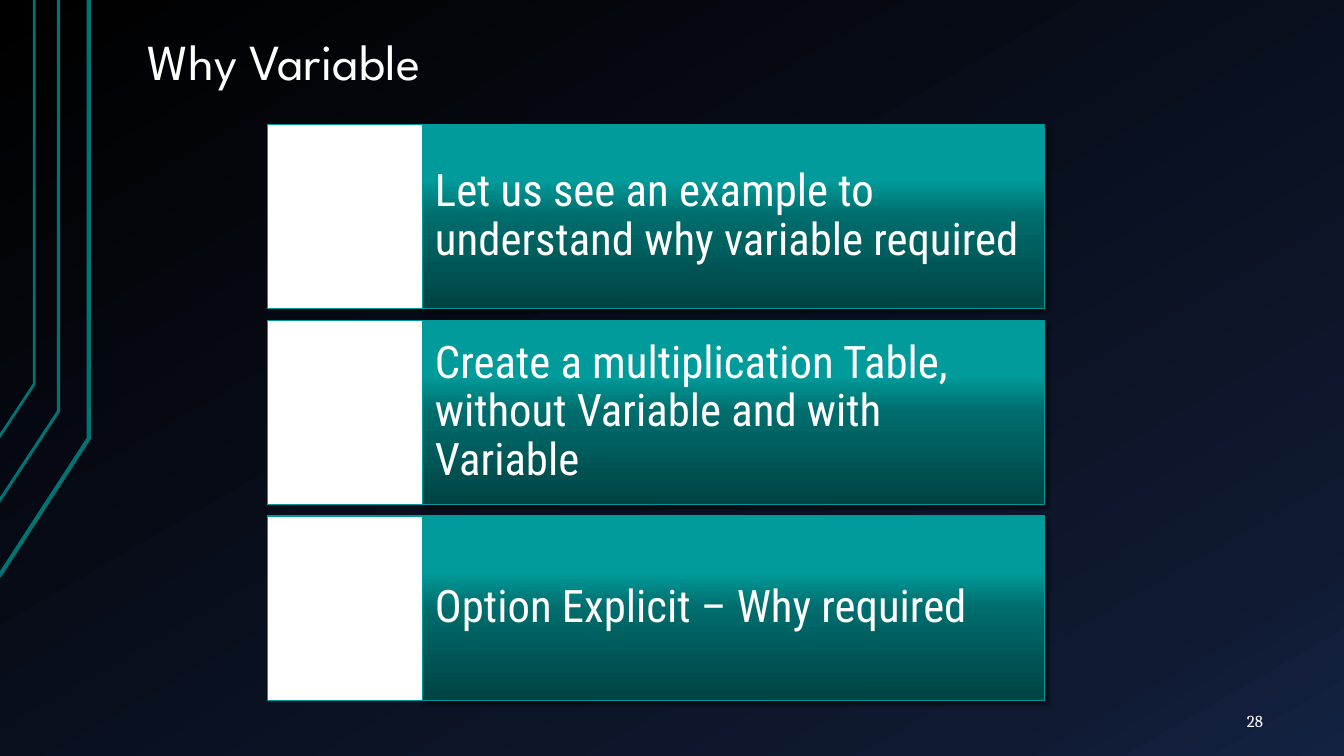
from pptx import Presentation
from pptx import oxml
from pptx.dml.color import RGBColor
from pptx.enum import shapes, text
from pptx.oxml import ns
from pptx.util import Pt

COLORS = {
    "white": "FFFFFF",
    "teal": "009999",
    "trim": "007373",
    "shadow": "000000",
}
NIGHT_STOPS = [(0, "000000"), (85, "0F1931"), (100, "142242")]
BAR_STOPS = [(0, "004343"), (50, "006C6C"), (70, "019B9B"), (100, "009999")]


def set_gradient(fill, owner, stops, angle):
    fill.gradient()
    grad = owner.xpath(".//a:gradFill")[0]
    stop_xml = "".join(
        f'<a:gs pos="{pos * 1000}"><a:srgbClr val="{color}"/></a:gs>' for pos, color in stops
    )
    grad.getparent().replace(grad, oxml.parse_xml(
        f'<a:gradFill {ns.nsdecls("a")} rotWithShape="1"><a:gsLst>{stop_xml}</a:gsLst>'
        f'<a:lin ang="{angle * 60000}" scaled="0"/></a:gradFill>'
    ))


def write(shape, words, font, size, anchor, align, margins, spacing=None):
    frame = shape.text_frame
    frame.word_wrap = True
    frame.vertical_anchor = anchor
    frame.margin_left = frame.margin_right = Pt(margins[0])
    frame.margin_top = frame.margin_bottom = Pt(margins[1])
    paragraph = frame.paragraphs[0]
    paragraph.alignment = align
    paragraph.line_spacing = spacing
    run = paragraph.add_run()
    run.text = words
    run.font.name = font
    run.font.size = Pt(size)
    run.font.color.rgb = RGBColor.from_string(COLORS["white"])


prs = Presentation()
prs.slide_width, prs.slide_height = Pt(960), Pt(540)
slide = prs.slides.add_slide(prs.slide_layouts[6])

# Background
set_gradient(slide.background.fill, slide.element, NIGHT_STOPS, 60)

# Angled trim lines on the left: points and line width
trim_lines = [
    ([(-0.7, 411.8), (63.4, 313.2), (63.4, 0)], 3),
    ([(-1.4, 359.3), (41.8, 293.8), (41.8, 0)], 2.25),
    ([(-0.7, 312.5), (24.5, 274.3), (24.5, 0)], 2),
]
for points, width in trim_lines:
    start, *corners = [(Pt(x), Pt(y)) for x, y in points]
    builder = slide.shapes.build_freeform(*start, scale=1.0)
    builder.add_line_segments(corners, close=False)
    trim = builder.convert_to_shape()
    trim.shadow.inherit = False
    trim.fill.background()
    trim.line.color.rgb = RGBColor.from_string(COLORS["trim"])
    trim.line.width = Pt(width)

# Title and page number
title = slide.shapes.add_textbox(Pt(95.8), Pt(21.6), Pt(815.8), Pt(96.5))
write(title, "Why Variable", "League Spartan", 36,
      text.MSO_ANCHOR.TOP, text.PP_ALIGN.LEFT, (9.4, 5), 0.9)
page_number = slide.shapes.add_textbox(Pt(831.6), Pt(500.4), Pt(79.9), Pt(28.8))
write(page_number, "28", "Cambria", 12,
      text.MSO_ANCHOR.MIDDLE, text.PP_ALIGN.RIGHT, (9.4, 5))

# Three reasons, each a white tile beside a gradient bar
reasons = [
    "Let us see an example to understand why variable required",
    "Create a multiplication Table, without Variable and with Variable",
    "Option Explicit – Why required",
]
TILE_LEFT, TILE_WIDTH, BAR_WIDTH = 190.8, 110.9, 444.4
ROW_TOP, ROW_HEIGHT, ROW_PITCH = 88.6, 131.8, 140
for row, reason in enumerate(reasons):
    top = Pt(ROW_TOP + row * ROW_PITCH)
    bar = slide.shapes.add_shape(shapes.MSO_SHAPE.RECTANGLE, Pt(TILE_LEFT + TILE_WIDTH), top,
                                 Pt(BAR_WIDTH), Pt(ROW_HEIGHT))
    tile = slide.shapes.add_shape(shapes.MSO_SHAPE.RECTANGLE, Pt(TILE_LEFT), top,
                                  Pt(TILE_WIDTH), Pt(ROW_HEIGHT))
    for part in (bar, tile):
        part.shadow.inherit = False
        part.line.color.rgb = RGBColor.from_string(COLORS["teal"])
        part.line.width = Pt(0.75)
    tile.fill.solid()
    tile.fill.fore_color.rgb = RGBColor.from_string(COLORS["white"])

    set_gradient(bar.fill, bar.element, BAR_STOPS, 270)
    bar.element.spPr.find(ns.qn("a:effectLst")).append(oxml.parse_xml(
        f'<a:outerShdw {ns.nsdecls("a")} blurRad="{Pt(3)}" dist="{Pt(2)}" dir="2700000" '
        f'algn="ctr" rotWithShape="0"><a:srgbClr val="{COLORS["shadow"]}">'
        f'<a:alpha val="60000"/></a:srgbClr></a:outerShdw>'
    ))
    write(bar, reason, "Roboto Condensed", 32,
          text.MSO_ANCHOR.MIDDLE, text.PP_ALIGN.LEFT, (9, 0), 0.9)

prs.save("out.pptx")
